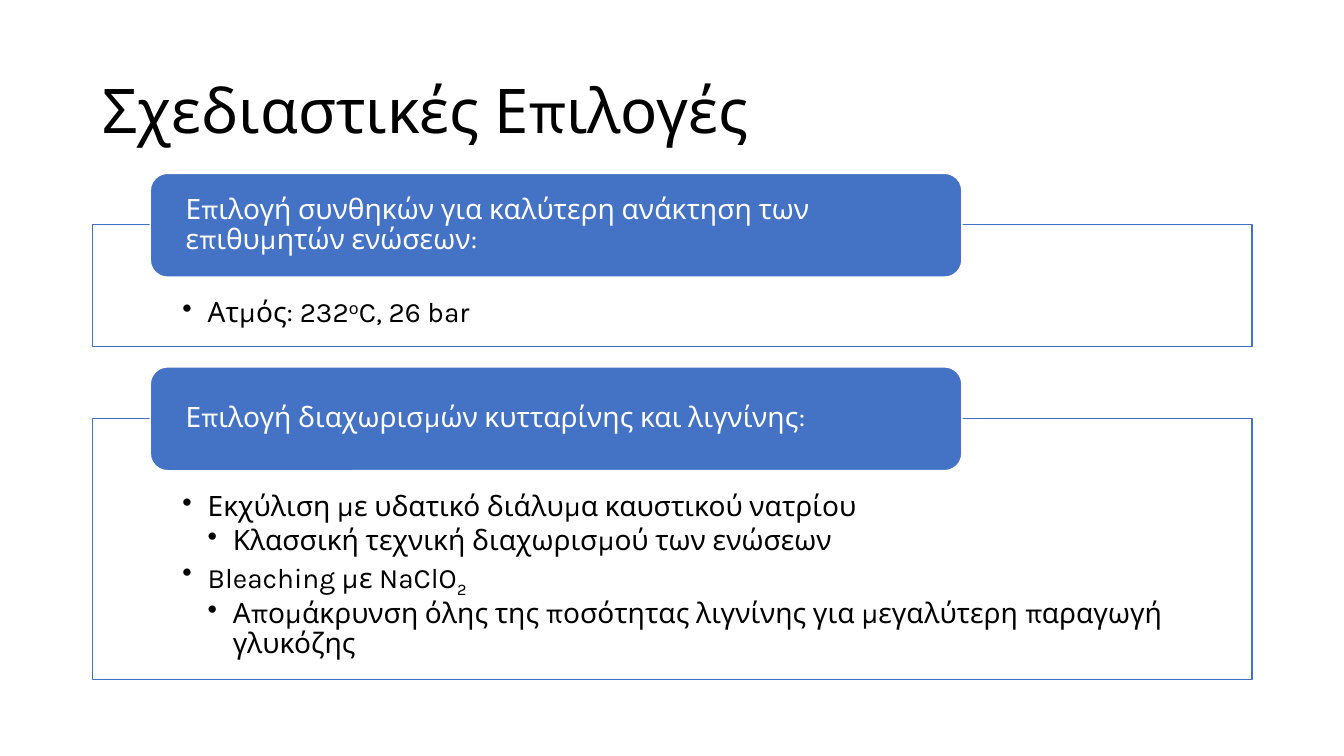
"""Build the slide of design choices: two outlined panels with heading tabs."""
import pptx
import pptx.dml.color
import pptx.enum.shapes
import pptx.enum.text
import pptx.oxml.ns
import pptx.util
from lxml import etree

Inches = pptx.util.Inches
Pt = pptx.util.Pt
SHAPES = pptx.enum.shapes.MSO_SHAPE
ANCHOR = pptx.enum.text.MSO_ANCHOR
LEFT = pptx.enum.text.PP_ALIGN.LEFT
RGB = pptx.dml.color.RGBColor.from_string
qn = pptx.oxml.ns.qn

THEME = {
    "font": "Karla",
    "ink": RGB("000000"),
    "paper": RGB("FFFFFF"),
    "accent": RGB("4472C4"),
    "title_size": Pt(44),
    "body_size": Pt(20),
}


def add_block(kind, box, fill, line, insets, anchor):
    block = slide.shapes.add_shape(kind, *map(Inches, box))
    block.shadow.inherit = False
    block.fill.solid()
    block.fill.fore_color.rgb = fill
    block.line.color.rgb = line
    block.line.width = Pt(1)
    sides = ("margin_left", "margin_top", "margin_right", "margin_bottom")
    frame_format = dict(zip(sides, map(Inches, insets)))
    frame_format.update(word_wrap=True, vertical_anchor=anchor)
    for name, value in frame_format.items():
        setattr(block.text_frame, name, value)
    return block


def write(paragraph, runs, size, color, space_after=0):
    paragraph_format = {"alignment": LEFT, "line_spacing": 0.9,
                        "space_before": Pt(0), "space_after": Pt(space_after)}
    for name, value in paragraph_format.items():
        setattr(paragraph, name, value)
    for text, baseline in runs:
        run = paragraph.add_run()
        run.text = text
        run.font.name = THEME["font"]
        run.font.size = size
        run.font.color.rgb = color
        if baseline:
            run.font._element.set("baseline", str(baseline * 1000))


presentation = pptx.Presentation()
presentation.slide_width = Inches(13.33)
presentation.slide_height = Inches(7.5)
slide = presentation.slides.add_slide(presentation.slide_layouts[5])

title = slide.shapes.title
title_format = {"left": 0.92, "top": 0.4, "width": 11.5, "height": 1.45}
for name, value in title_format.items():
    setattr(title, name, Inches(value))
title.text_frame.vertical_anchor = ANCHOR.MIDDLE
write(title.text_frame.paragraphs[0], [("Σχεδιαστικές Επιλογές", 0)],
      THEME["title_size"], THEME["ink"])

choices = [
    (1.72, 1.21, "Επιλογή συνθηκών για καλύτερη ανάκτηση των επιθυμητών ενώσεων:", [
        (1, [("Ατμός: 232", 0), ("ο", 30), ("C, 26 bar", 0)]),
    ]),
    (3.64, 2.59, "Επιλογή διαχωρισμών κυτταρίνης και λιγνίνης:", [
        (1, [("Εκχύλιση με υδατικό διάλυμα καυστικού νατρίου", 0)]),
        (2, [("Κλασσική τεχνική διαχωρισμού των ενώσεων", 0)]),
        (1, [("Bleaching με NaClO", 0), ("2", -25)]),
        (2, [("Απομάκρυνση όλης της ποσότητας λιγνίνης για μεγαλύτερη "
              "παραγωγή γλυκόζης", 0)]),
    ]),
]

for tab_top, panel_height, heading, points in choices:
    panel = add_block(SHAPES.RECTANGLE, (0.92, tab_top + 0.51, 11.5, panel_height),
                      THEME["paper"], THEME["accent"],
                      (0.89, 0.73, 0.89, 0.16), ANCHOR.TOP)
    panel_color = panel._element.spPr.find(qn("a:solidFill"))[0]
    etree.SubElement(panel_color, qn("a:alpha"), val="90000")
    for index, (level, runs) in enumerate(points):
        frame = panel.text_frame
        point = frame.add_paragraph() if index else frame.paragraphs[0]
        point.level = level
        properties = point._p.get_or_add_pPr()
        properties.set("marL", str(Inches(0.25 * level)))
        properties.set("indent", str(Inches(-0.25)))
        etree.SubElement(properties, qn("a:buChar"), char="•")
        write(point, runs, THEME["body_size"], THEME["ink"], 3)

    tab = add_block(SHAPES.ROUNDED_RECTANGLE, (1.49, tab_top, 8.05, 1.03),
                    THEME["accent"], THEME["paper"], (0.3, 0, 0.3, 0), ANCHOR.MIDDLE)
    write(tab.text_frame.paragraphs[0], [(heading, 0)],
          THEME["body_size"], THEME["paper"])

presentation.save("out.pptx")
